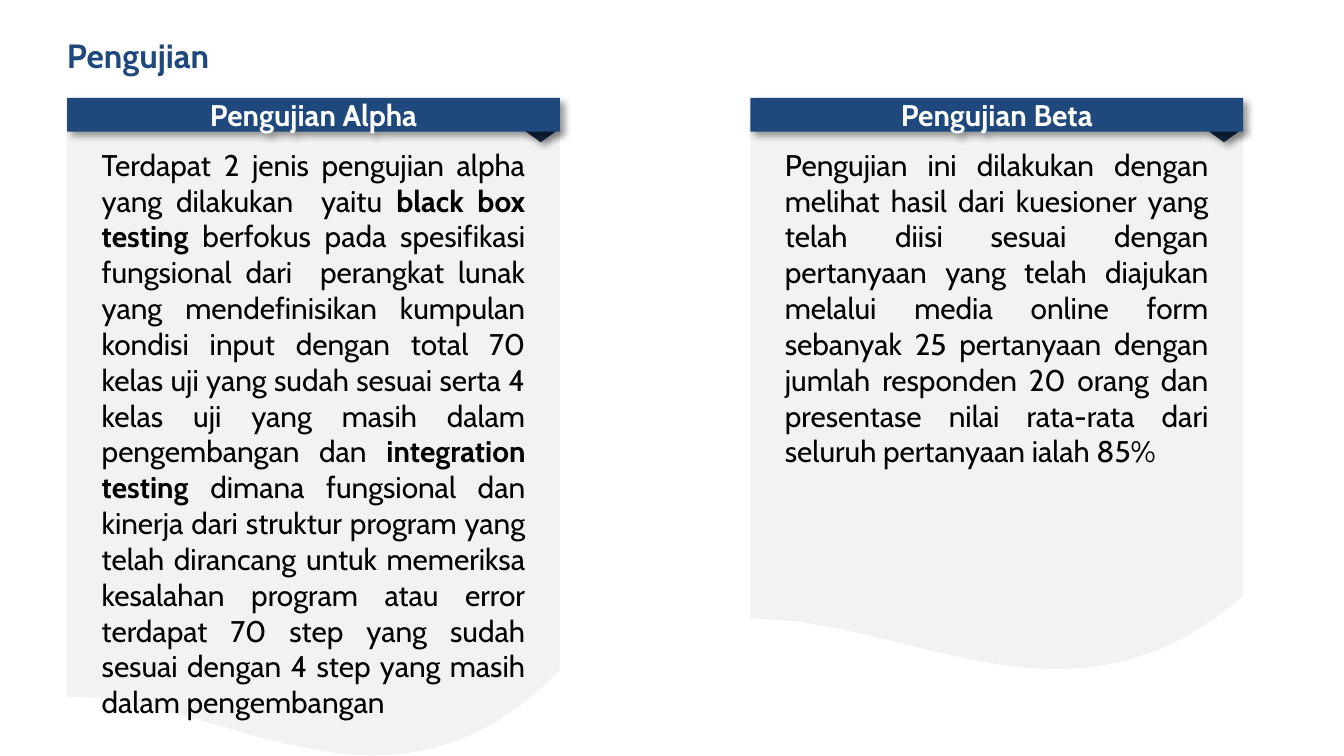
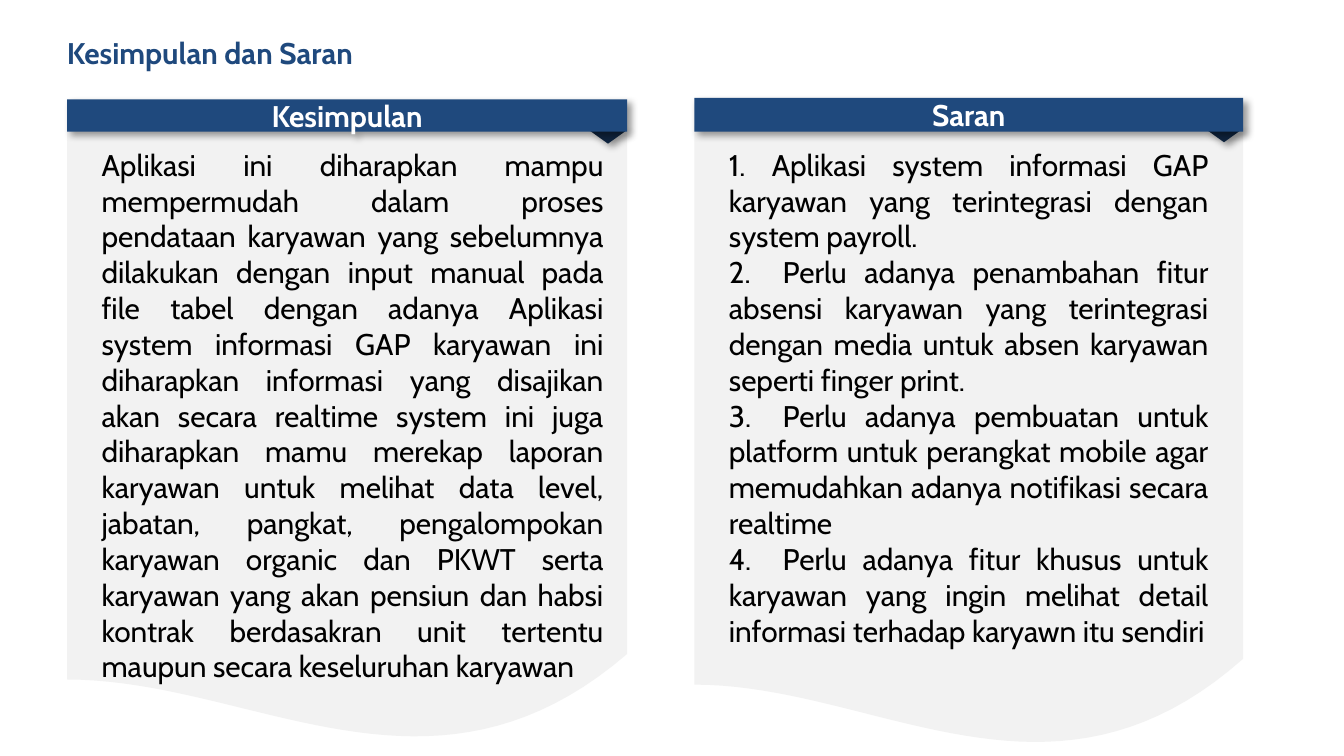
"""Builds two slides of paired note panels: testing, and conclusions with suggestions."""
from lxml.etree import SubElement
from pptx import Presentation
from pptx.dml.color import RGBColor as RGB
from pptx.enum.shapes import MSO_SHAPE as SHAPE
from pptx.enum.text import MSO_ANCHOR as ANCHOR, MSO_AUTO_SIZE as AUTO, PP_ALIGN as ALIGN
from pptx.oxml import parse_xml
from pptx.oxml.ns import nsdecls, qn
from pptx.util import Inches, Pt

COLORS = {"navy": "1F497D", "fold": "0F243E", "panel": "F2F2F2", "white": "FFFFFF", "ink": "000000"}
FONT = "Cabin"
WIDTH, HEIGHT = 10, 5.625
COLS, ROWS = 120, 135
BANNER_BOTTOM = 23.5
PANEL_TOP = 22.5
SHADOW = (
    f'<a:effectLst {nsdecls("a")}><a:outerShdw blurRad="{Pt(4)}" dist="{Pt(3)}" dir="2700000" '
    f'algn="tl" rotWithShape="0"><a:srgbClr val="{COLORS["ink"]}"><a:alpha val="40000"/>'
    "</a:srgbClr></a:outerShdw></a:effectLst>"
)


class Deck:
    """Holds the style, the presentation and the current slide."""

    def __init__(self):
        self.prs = Presentation()
        self.prs.slide_width, self.prs.slide_height = Inches(WIDTH), Inches(HEIGHT)
        self.slide = None

    def add_slide(self, title, size, rows):
        self.slide = self.prs.slides.add_slide(self.prs.slide_layouts[6])
        p = self.text(4.8, 5, 110.3, rows, [[(title, True)]], size, "navy", (0.1, 0.05))
        pPr = p._p.get_or_add_pPr()
        pPr.set("marL", str(Inches(0.38)))
        pPr.set("indent", str(Inches(-0.38)))

    def box(self, col, row, cols, rows):
        x, y = Inches(WIDTH / COLS), Inches(HEIGHT / ROWS)
        return [round(v) for v in (col * x, row * y, cols * x, rows * y)]

    def paint(self, sp, color):
        sp.shadow.inherit = False
        sp.fill.solid()
        sp.fill.fore_color.rgb = RGB.from_string(COLORS[color])
        sp.line.fill.background()

    def add_runs(self, p, parts, size, color, align):
        p.alignment = align
        for words, bold in parts:
            r = p.add_run()
            r.text = words
            style = {"name": FONT, "size": Pt(size), "bold": bold}
            for key, value in style.items():
                setattr(r.font, key, value)
            r.font.color.rgb = RGB.from_string(COLORS[color])

    def text(self, col, row, cols, rows, paragraphs, size, color, inset):
        tf = self.slide.shapes.add_textbox(*self.box(col, row, cols, rows)).text_frame
        side, end = Inches(inset[0]), Inches(inset[1])
        style = {"word_wrap": True, "auto_size": AUTO.SHAPE_TO_FIT_TEXT, "margin_left": side,
                 "margin_right": side, "margin_top": end, "margin_bottom": end}
        for key, value in style.items():
            setattr(tf, key, value)
        for i, parts in enumerate(paragraphs):
            p = tf.add_paragraph() if i else tf.paragraphs[0]
            self.add_runs(p, parts, size, color, ALIGN.JUSTIFY)
            if any("\t" in words for words, _ in parts):
                tabs = SubElement(p._p.get_or_add_pPr(), qn("a:tabLst"))
                SubElement(tabs, qn("a:tab"), pos=str(Inches(0.4)), algn="l")
        return tf.paragraphs[0]

    def raised(self, kind, color, *place):
        sp = self.slide.shapes.add_shape(kind, *self.box(*place))
        self.paint(sp, color)
        spPr = sp._element.spPr
        spPr.remove(spPr.find(qn("a:effectLst")))
        spPr.append(parse_xml(SHADOW))
        return sp

    def wave(self, col, cols, rows, steps=40):
        x, y, w, h = self.box(col, PANEL_TOP, cols, rows)
        curve = [(1, 0.865), (0.65, 1.142), (0.333, 0.907), (0, 0.907)]
        points = [(x + w, y)]
        for i in range(steps + 1):
            t = i / steps
            weights = ((1 - t) ** 3, 3 * t * (1 - t) ** 2, 3 * t * t * (1 - t), t ** 3)
            u, v = (sum(k * c[axis] for k, c in zip(weights, curve)) for axis in (0, 1))
            points.append((round(x + u * w), round(y + v * h)))
        outline = self.slide.shapes.build_freeform(x, y)
        outline.add_line_segments(points, close=True)
        self.paint(outline.convert_to_shape(), "panel")

    def panel(self, heading, body, col, cols, rows, text_cols, lines, top=17.5):
        self.wave(col, cols, rows)
        fold = self.raised(SHAPE.ISOSCELES_TRIANGLE, "fold", col + cols - 3.4, top + 5.5, 3.36, 2.4)
        fold.rotation = 180
        banner = self.raised(SHAPE.RECTANGLE, "navy", col, top, cols, BANNER_BOTTOM - top)
        tf = banner.text_frame
        tf.vertical_anchor = ANCHOR.MIDDLE
        self.add_runs(tf.paragraphs[0], [(heading, True)], 16, "white", ALIGN.CENTER)
        self.text(col + 2, 25.2, text_cols, 6.46 * lines + 2, body, 16, "ink", (0.09, 0.04))


ALPHA = [[
    ("Terdapat 2 jenis pengujian alpha yang dilakukan  yaitu ", False),
    ("black box testing ", True),
    ("berfokus pada spesifikasi fungsional dari  perangkat lunak yang mendefinisikan kumpulan "
     "kondisi input dengan total 70 kelas uji yang sudah sesuai serta 4 kelas uji yang masih "
     "dalam pengembangan dan ", False),
    ("integration testing ", True),
    ("dimana fungsional dan kinerja dari struktur program yang telah dirancang untuk memeriksa "
     "kesalahan program atau error terdapat 70 step yang sudah sesuai dengan 4 step yang masih "
     "dalam pengembangan", False),
]]
BETA = [[
    ("Pengujian ini dilakukan dengan melihat hasil dari kuesioner yang telah diisi sesuai dengan "
     "pertanyaan yang telah diajukan melalui media online form sebanyak 25 pertanyaan dengan "
     "jumlah responden 20 orang dan presentase nilai rata-rata dari seluruh pertanyaan ialah 85%",
     False),
]]
CONCLUSION = [[
    ("Aplikasi ini diharapkan mampu mempermudah dalam proses pendataan karyawan yang sebelumnya "
     "dilakukan dengan input manual pada file tabel dengan adanya Aplikasi system informasi GAP "
     "karyawan ini diharapkan informasi yang disajikan akan secara realtime system ini juga "
     "diharapkan mamu merekap laporan karyawan untuk melihat data level, jabatan, pangkat, "
     "pengalompokan karyawan organic dan PKWT serta karyawan yang akan pensiun dan habsi kontrak "
     "berdasakran unit tertentu maupun secara keseluruhan karyawan", False),
]]
SUGGESTIONS = [[(words, False)] for words in (
    "1. Aplikasi system informasi GAP karyawan yang terintegrasi dengan system payroll. ",
    "2.\tPerlu adanya penambahan fitur absensi karyawan yang terintegrasi dengan media untuk "
    "absen karyawan seperti finger print.",
    "3.\tPerlu adanya pembuatan untuk platform untuk perangkat mobile agar memudahkan adanya "
    "notifikasi secara realtime",
    "4.\tPerlu adanya fitur khusus untuk karyawan yang ingin melihat detail informasi terhadap "
    "karyawn itu sendiri",
)]


def main():
    deck = Deck()
    deck.add_slide("Pengujian", 18, 9.6)
    deck.panel("Pengujian Alpha", ALPHA, 6, 44, 112.4, 40, 16)
    deck.panel("Pengujian Beta", BETA, 67, 44, 97, 40, 9)
    deck.add_slide("Kesimpulan dan Saran", 16, 8.9)
    deck.panel("Kesimpulan", CONCLUSION, 6, 50, 109, 47, 15, top=17.75)
    deck.panel("Saran", SUGGESTIONS, 62, 49, 110, 45, 14)
    deck.prs.save("out.pptx")


if __name__ == "__main__":
    main()
